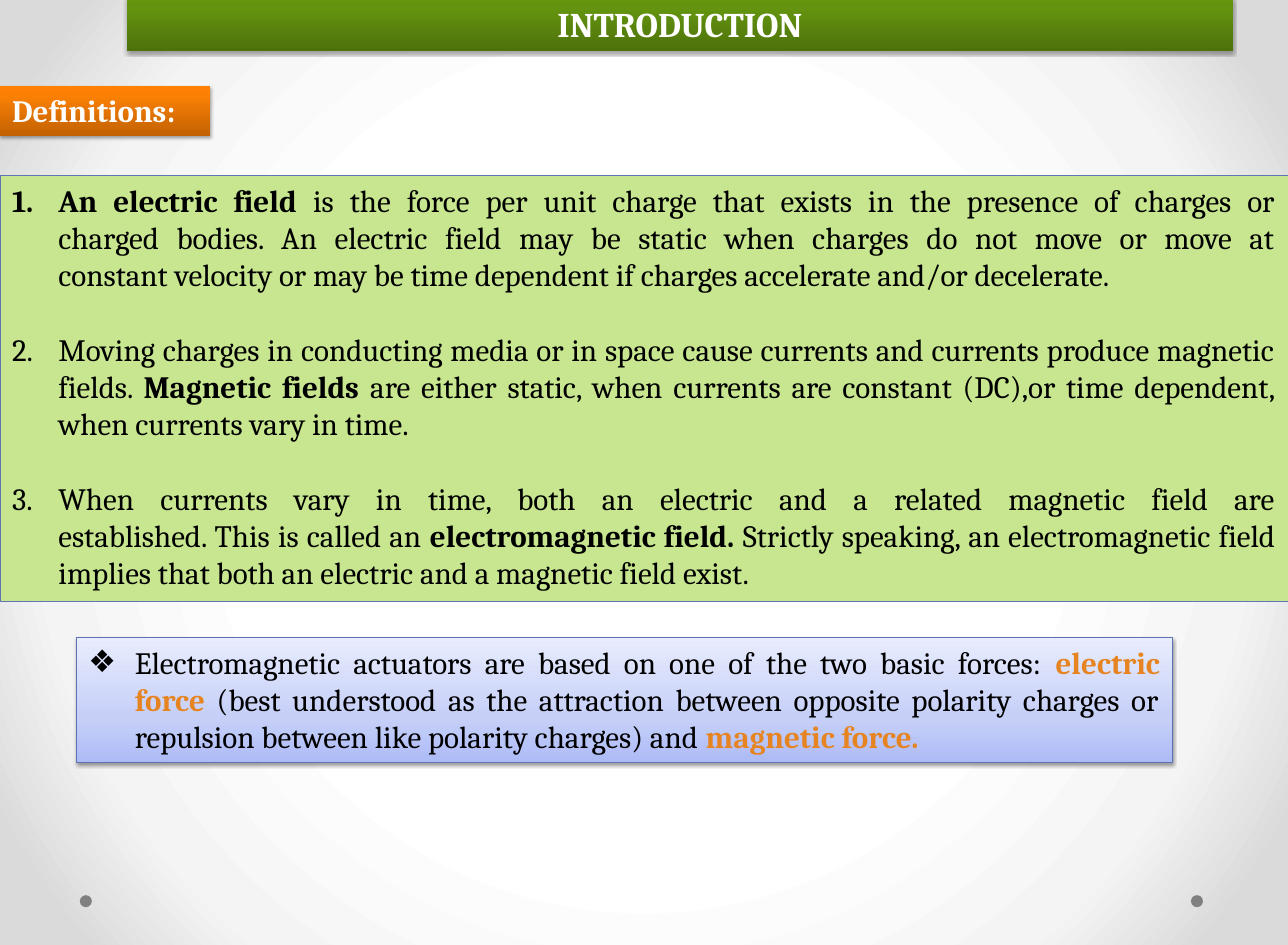
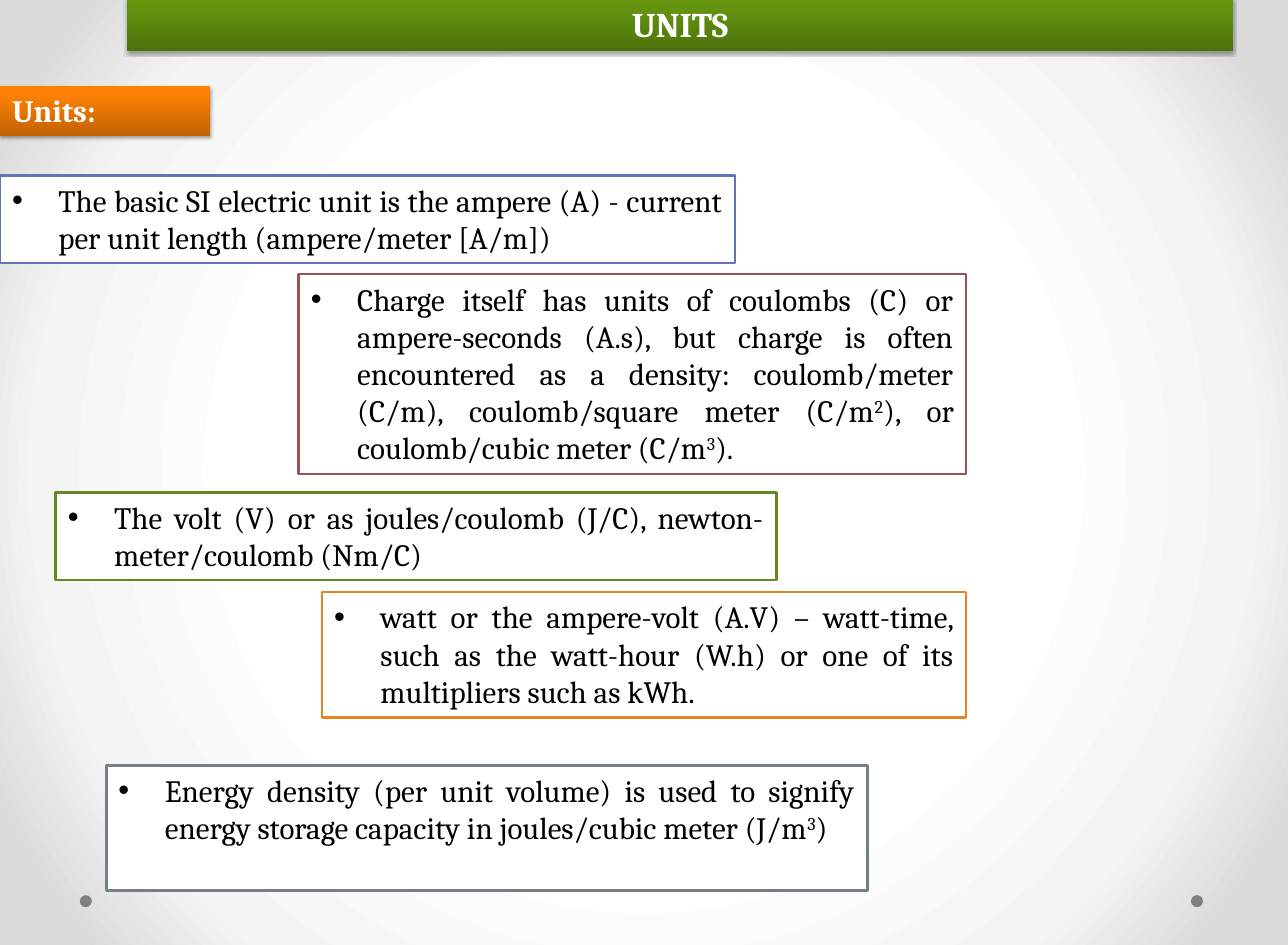
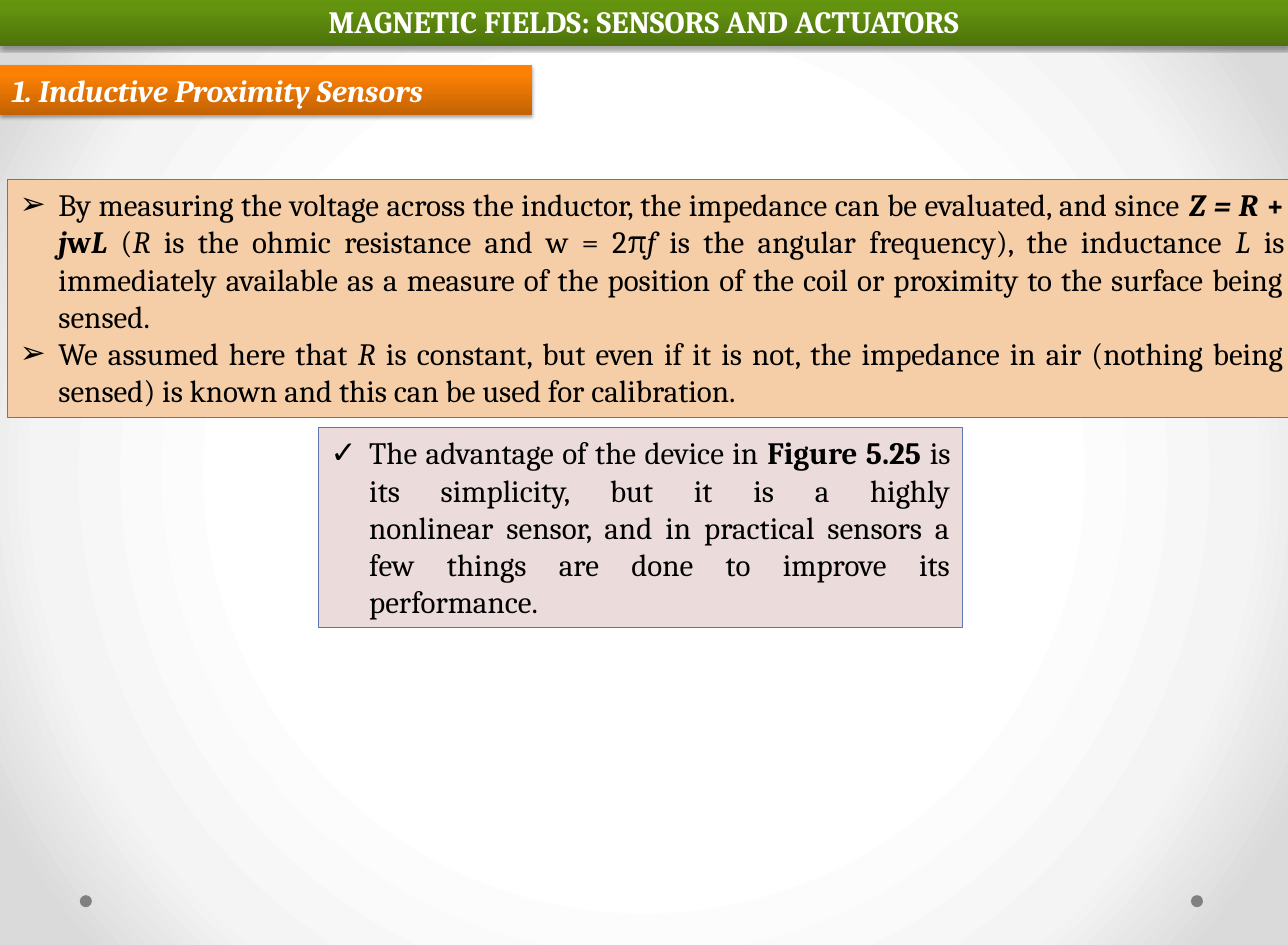
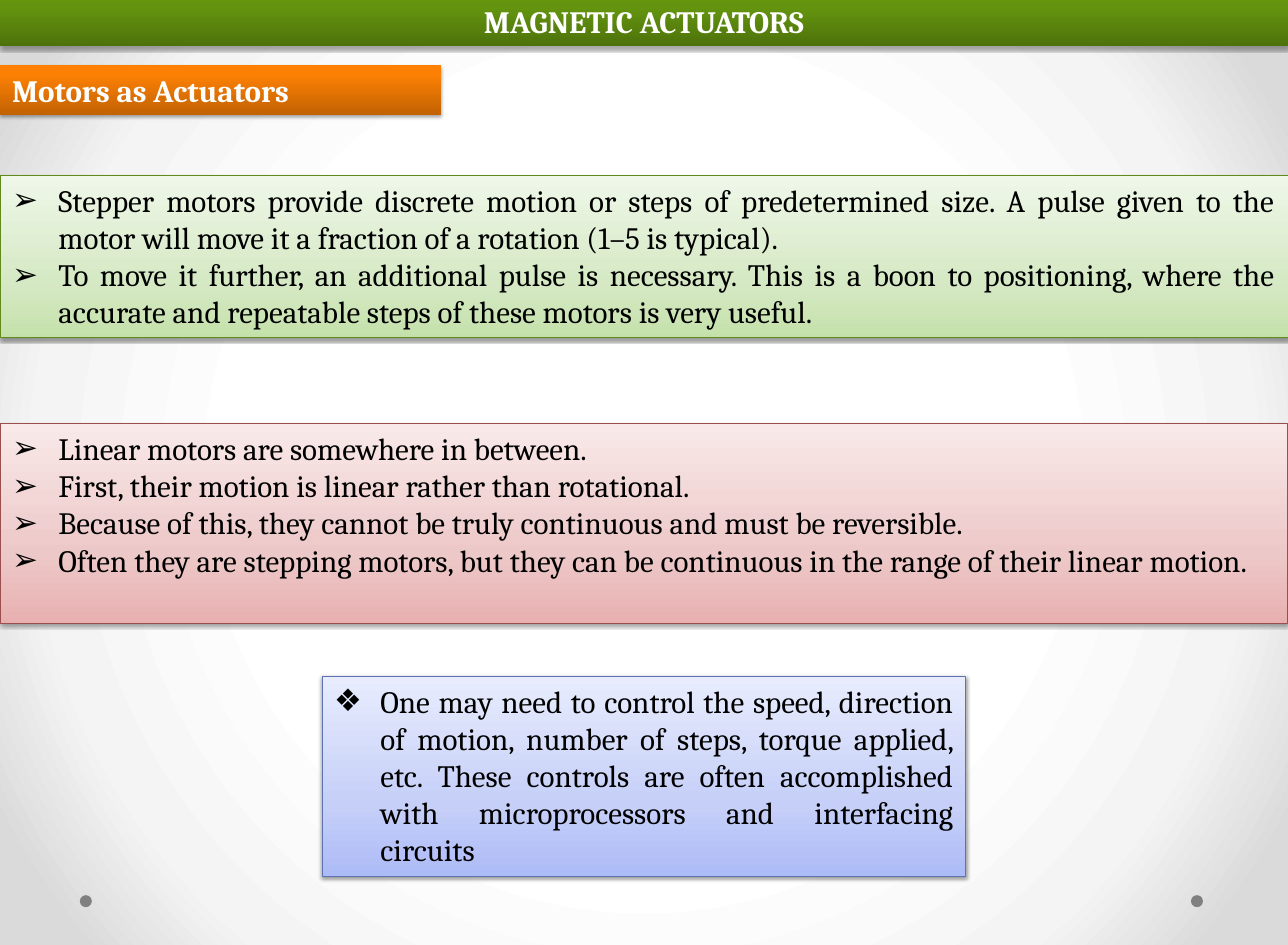
from pptx import Presentation
from pptx.dml.color import RGBColor
from pptx.enum.shapes import MSO_SHAPE
from pptx.enum.text import MSO_ANCHOR, MSO_AUTO_SIZE, PP_ALIGN
from pptx.oxml import parse_xml
from pptx.oxml.ns import nsdecls, qn
from pptx.util import Inches, Pt

RECTANGLE = MSO_SHAPE.RECTANGLE
OVAL = MSO_SHAPE.OVAL
TOP = MSO_ANCHOR.TOP
FIXED = MSO_AUTO_SIZE.NONE
LEFT, CENTER, JUSTIFY = PP_ALIGN.LEFT, PP_ALIGN.CENTER, PP_ALIGN.JUSTIFY

FONT = "Cambria"
LINE_GAP = 31.2
COLORS = {
    "black": "000000",
    "white": "FFFFFF",
    "dot": "808080",
    "orange": "E68422",
    "blue": "6076B4",
    "blue_edge": "5C72B2",
    "red": "9C5252",
    "red_edge": "9A4E4E",
    "green": "63891F",
    "green_edge": "62891C",
    "slate": "758085",
    "lime": "C7E68F",
    "peach": "F5CEA7",
    "rose": "ECDBDB",
}
GRADIENTS = {
    "page": [(50, "FFFFFF"), (76, "F4F4F4"), (92, "DADADA")],
    "title_band": [(0, "4D720B"), (80, "64940F"), (100, "65970C")],
    "tag_band": [(0, "C26203"), (80, "FB8004"), (100, "FF8002")],
    "blue_fade": [(0, "ADBBF6"), (35, "C5CFF8"), (100, "E8ECFD")],
    "green_fade": [(0, "C5E1AB"), (35, "D6E9C5"), (100, "EFF7E9")],
    "red_fade": [(0, "E8B0B0"), (35, "EDC8C8"), (100, "F9E9E9")],
}
UPWARD = '<a:lin ang="16200000" scaled="0"/>'
RADIAL = ('<a:path path="circle"><a:fillToRect l="50000" t="50000" '
          'r="50000" b="50000"/></a:path>')
BOLD = {"bold": True}
ITALIC = {"italic": True}
BOLD_ITALIC = {"bold": True, "italic": True}
ACCENT = {"bold": True, "color": "orange"}
SUPER = {"superscript": True}


def rgb(name):
    return RGBColor.from_string(COLORS[name])


def gradient_xml(name, direction):
    stops = "".join(f'<a:gs pos="{place * 1000}"><a:srgbClr val="{color}"/></a:gs>'
                    for place, color in GRADIENTS[name])
    return parse_xml(f'<a:gradFill {nsdecls("a")} rotWithShape="1">'
                     f'<a:gsLst>{stops}</a:gsLst>{direction}</a:gradFill>')


def swap_fill(properties, name, direction):
    properties.replace(properties.find(qn("a:solidFill")), gradient_xml(name, direction))


def add_shadow(shape, alpha, distance):
    effects = shape.element.spPr.find(qn("a:effectLst"))
    effects.append(parse_xml(
        f'<a:outerShdw {nsdecls("a")} blurRad="{Pt(3.1)}" dist="{Pt(distance)}" '
        f'dir="5400000" rotWithShape="0"><a:srgbClr val="{COLORS["black"]}">'
        f'<a:alpha val="{alpha * 1000}"/></a:srgbClr></a:outerShdw>'))


def place(shape, area):
    shape.left, shape.top, shape.width, shape.height = map(Inches, area)


def paint(shape, fill, line=None, weight=0.75):
    shape.shadow.inherit = False
    shape.fill.solid()
    if line:
        shape.line.color.rgb = rgb(line)
        shape.line.width = Pt(weight)
    else:
        shape.line.fill.background()
    if fill in GRADIENTS:
        swap_fill(shape.element.spPr, fill, UPWARD)
        add_shadow(shape, *((38, 1.6) if line else (35, 1.8)))
    else:
        shape.fill.fore_color.rgb = rgb(fill)


def prepare_frame(shape):
    frame = shape.text_frame
    frame.word_wrap = True
    frame.auto_size = FIXED
    frame.vertical_anchor = TOP
    frame.margin_left = frame.margin_right = Inches(0.14)
    frame.margin_top = frame.margin_bottom = Inches(0.07)
    return frame


def add_span(para, text, size=26, color="black", bold=False, italic=False,
             superscript=False):
    for number, line in enumerate(text.split("\n")):
        if number:
            para.add_line_break()
        span = para.add_run()
        span.text = line
        font = span.font
        font.name, font.size = FONT, Pt(size)
        font.bold, font.italic = bold, italic
        font.color.rgb = rgb(color)
        if superscript:
            font._element.set("baseline", "30000")


def set_bullet(para, bullet, indent):
    properties = para._p.get_or_add_pPr()
    properties.set("marL", str(Inches(indent)))
    properties.set("indent", str(-Inches(indent)))
    if bullet == "1.":
        marks = ['<a:buFont {} typeface="+mj-lt"/>', '<a:buAutoNum {} type="arabicPeriod"/>']
    else:
        marks = ['<a:buFont {} typeface="Arial"/>', f'<a:buChar {{}} char="{bullet}"/>']
    for mark in marks:
        properties.append(parse_xml(mark.format(nsdecls("a"))))


def write_list(shape, items, bullet, indent=0.54, gap=0):
    frame = prepare_frame(shape)
    for number, item in enumerate(items):
        para = frame.add_paragraph() if number else frame.paragraphs[0]
        set_bullet(para, bullet, indent)
        para.alignment = JUSTIFY
        para.line_spacing = 1.0
        para.space_before = Pt(gap if number else 0)
        for part in [item] if isinstance(item, str) else item:
            text, style = (part, {}) if isinstance(part, str) else part
            add_span(para, text, **style)


def write_heading(shape, text, align, **style):
    para = prepare_frame(shape).paragraphs[0]
    para.alignment = align
    add_span(para, text, color="white", bold=True, **style)


def add_box(page, area):
    return page.shapes.add_shape(RECTANGLE, *map(Inches, area))


def add_panel(page, area, items, bullet, fill="white", line="blue", weight=0.75,
              body=False, **layout):
    box = page.placeholders[1] if body else add_box(page, area)
    place(box, area)
    paint(box, fill, line, weight)
    write_list(box, items, bullet, **layout)


def add_page(deck, title, tag, tag_width, title_area=(0, -0.04, 15, 0.58),
             title_size=26, tag_top=0.76, tag_italic=False):
    page = deck.slides.add_slide(deck.slide_layouts[1])
    band = page.shapes.title
    place(band, title_area)
    paint(band, "title_band")
    write_heading(band, title, CENTER, size=title_size)
    label = add_box(page, (0, tag_top, tag_width, 0.58))
    paint(label, "tag_band")
    write_heading(label, tag, LEFT, italic=tag_italic)
    return page


def set_master(deck, page):
    master = deck.slide_master
    fill = master.background.fill
    fill.solid()
    swap_fill(master.element.cSld.find(qn("p:bg")).find(qn("p:bgPr")), "page", RADIAL)
    for number, left in enumerate((0.93, 13.87)):
        dot = page.shapes.add_shape(OVAL, *map(Inches, (left, 10.42, 0.14, 0.14)))
        paint(dot, "dot")
        dot.element.nvSpPr.cNvPr.set("id", str(100 + number))
        master.shapes.element.append(dot.element)


def build_introduction(deck, wide):
    page = add_page(deck, "INTRODUCTION", "Definitions:", 2.45, **wide)
    add_panel(page, (0, 2.04, 15, 4.96), [
        [("An electric field ", BOLD),
         "is the force per unit charge that exists in the presence of charges or\n"
         "charged bodies. An electric field may be static when charges do not move or move at\n"
         "constant velocity or may be time dependent if charges accelerate and/or decelerate."],
        ["Moving charges in conducting media or in space cause currents and currents "
         "produce magnetic fields. ", ("Magnetic fields ", BOLD),
         "are either static, when currents are constant (DC),or time dependent, "
         "when currents vary in time."],
        ["When currents vary in time, both an electric and a related magnetic field are\n"
         "established. This is called an ", ("electromagnetic field. ", BOLD),
         "Strictly speaking, an electromagnetic field implies that both an electric "
         "and a magnetic field exist."],
    ], "1.", fill="lime", body=True, gap=LINE_GAP)
    add_panel(page, (0.89, 7.42, 12.76, 1.46), [
        ["Electromagnetic actuators are based on one of the two basic forces: ",
         ("electric force ", ACCENT),
         "(best understood as the attraction between opposite polarity charges or "
         "repulsion between like polarity charges) and ", ("magnetic force.", ACCENT)],
    ], "❖", fill="blue_fade", line="blue_edge")
    return page


def build_units(deck, wide):
    page = add_page(deck, "UNITS", "Units:", 2.45, **wide)
    panels = [
        ((0, 2.04, 8.56, 1.02), "blue",
         ["The basic SI electric unit is the ampere (A) - current per unit length "
          "(ampere/meter [A/m])"]),
        ((3.48, 3.19, 7.77, 2.33), "red",
         ["Charge itself has units of coulombs (C) or ampere-seconds (A.s), but charge is "
          "often encountered as a density: coulomb/meter (C/m), coulomb/square meter (C/m",
          ("2", SUPER), "), or coulomb/cubic meter (C/m", ("3", SUPER), ")."]),
        ((0.65, 5.73, 8.39, 1.02), "green",
         ["The volt (V) or as joules/coulomb (J/C), newton-meter/coulomb (Nm/C)"]),
        ((3.75, 6.89, 7.5, 1.46), "orange",
         ["watt or the ampere-volt (A.V) – watt-time, such as the watt-hour (W.h) or one "
          "of its multipliers such as kWh."]),
        ((1.24, 8.91, 8.86, 1.46), "slate",
         ["Energy density (per unit volume) is used to signify energy storage capacity in "
          "joules/cubic meter (J/m", ("3", SUPER), ")"]),
    ]
    for number, (area, line, item) in enumerate(panels):
        add_panel(page, area, [item], "•", line=line, weight=2.25, body=number == 0)


def build_sensors(deck):
    page = add_page(deck, "MAGNETIC FIELDS: SENSORS AND ACTUATORS",
                    "1. Inductive Proximity Sensors", 6.2, tag_italic=True)
    add_panel(page, (0.09, 2.09, 15.01, 2.77), [
        ["By measuring the voltage across the inductor, the impedance can be evaluated, "
         "and since ", ("Z = R ", BOLD_ITALIC), ("+ ", BOLD), ("j", BOLD_ITALIC),
         ("w", BOLD), ("L ", BOLD_ITALIC), "(", ("R ", ITALIC),
         "is the ohmic resistance and w = 2π", ("f ", ITALIC),
         "is the angular frequency), the inductance ", ("L ", ITALIC),
         "is immediately available as a measure of the position of the coil or proximity "
         "to the surface being sensed."],
        ["We assumed here that ", ("R ", ITALIC),
         "is constant, but even if it is not, the impedance in air (nothing being sensed) "
         "is known and this can be used for calibration."],
    ], "➢", fill="peach", body=True, indent=0.45)
    add_panel(page, (3.71, 4.98, 7.5, 2.33), [
        ["The advantage of the device in ", ("Figure 5.25 ", BOLD),
         "is its simplicity, but it is a highly\nnonlinear sensor, and in practical "
         "sensors a few things are done to improve its performance."],
    ], "✓", fill="rose", indent=0.45)


def build_actuators(deck):
    page = add_page(deck, "MAGNETIC ACTUATORS", "Motors as Actuators", 5.14)
    add_panel(page, (0, 2.04, 15, 1.89), [
        "Stepper motors provide discrete motion or steps of predetermined size. A pulse "
        "given to the motor will move it a fraction of a rotation (1–5 is typical).",
        "To move it further, an additional pulse is necessary. This is a boon to "
        "positioning, where the accurate and repeatable steps of these motors is very useful.",
    ], "➢", fill="green_fade", line="green_edge", body=True)
    add_panel(page, (0, 4.93, 15, 2.33), [
        "Linear motors are somewhere in between.",
        "First, their motion is linear rather than rotational.",
        "Because of this, they cannot be truly continuous and must be reversible.",
        "Often they are stepping motors, but they can be continuous in the range of their "
        "linear motion.",
    ], "➢", fill="red_fade", line="red_edge")
    add_panel(page, (3.75, 7.87, 7.5, 2.33), [
        "One may need to control the speed, direction of motion, number of steps, torque "
        "applied, etc. These controls are often accomplished with microprocessors and "
        "interfacing circuits",
    ], "❖", fill="blue_fade", line="blue_edge")


def main():
    deck = Presentation()
    deck.slide_width, deck.slide_height = Inches(15), Inches(11)
    wide = {"title_area": (1.48, -0.04, 12.88, 0.63), "title_size": 29, "tag_top": 1}
    set_master(deck, build_introduction(deck, wide))
    build_units(deck, wide)
    build_sensors(deck)
    build_actuators(deck)
    deck.save("out.pptx")


if __name__ == "__main__":
    main()
